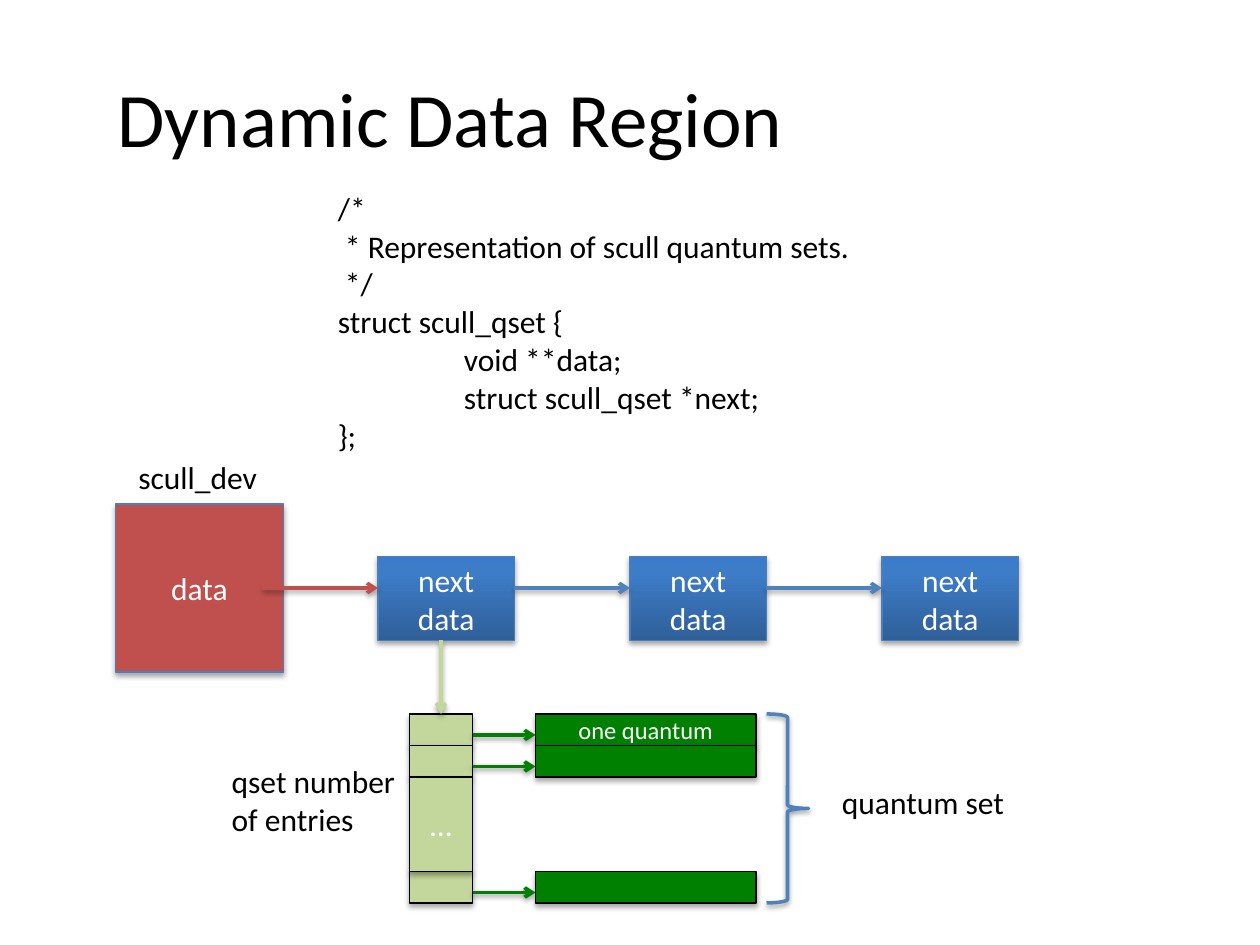
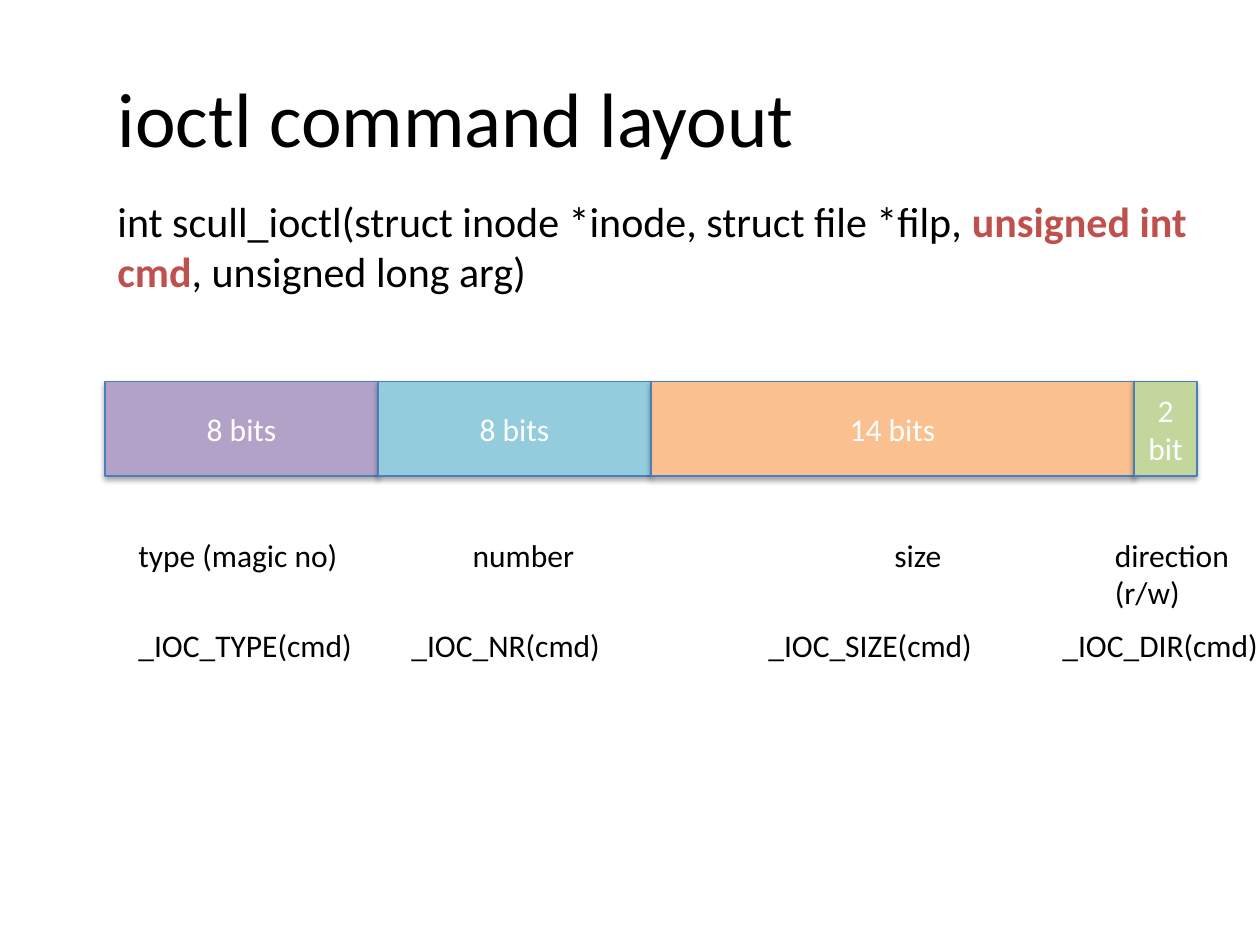
"""Build two slides on driver data structures and ioctl commands."""
from copy import deepcopy
from itertools import accumulate

from lxml.etree import SubElement
from pptx import Presentation
from pptx.dml.color import RGBColor
from pptx.enum.shapes import MSO_CONNECTOR as Link, MSO_SHAPE as Preset
from pptx.enum.text import MSO_ANCHOR as Anchor, MSO_AUTO_SIZE as AutoSize, PP_ALIGN as Align
from pptx.oxml.ns import qn
from pptx.util import Pt

FONT = "Calibri"
BLACK, WHITE = "000000", "FFFFFF"
RED, BLUE, EDGE = "C0504D", "4F81BD", "4B7EBC"
LIME, GREEN = "C3D69B", "008000"
VIOLET, AQUA, PEACH = "B3A2C7", "93CDDD", "FAC090"
NODE_GRADIENT = [(0, "2F5F99"), (0.8, "3D7CC7"), (1, "3A7CCB")]


def rgb(value):
    return RGBColor.from_string(value)


def add_run(paragraph, text, size, color, bold=False):
    run = paragraph.add_run()
    run.text = text
    run.font.name, run.font.size, run.font.bold = FONT, Pt(size), bold
    run.font.color.rgb = rgb(color)


def write(frame, lines, size, color, align=Align.LEFT):
    for number, line in enumerate(lines):
        paragraph = frame.add_paragraph() if number else frame.paragraphs[0]
        paragraph.alignment = align
        add_run(paragraph, line, size, color)


def add_shadow(shape, opacity, distance):
    effects = SubElement(shape._element.spPr, qn("a:effectLst"))
    outer = SubElement(effects, qn("a:outerShdw"), blurRad=str(Pt(3.1)),
                       dist=str(Pt(distance)), dir="5400000", rotWithShape="0")
    tint = SubElement(outer, qn("a:srgbClr"), val=BLACK)
    SubElement(tint, qn("a:alpha"), val=str(opacity * 1000))


def add_titled_slide(deck, heading):
    slide = deck.slides.add_slide(deck.slide_layouts[5])
    title = slide.shapes.title
    title.left, title.top, title.width, title.height = Pt(60), Pt(21.6), Pt(636), Pt(90)
    title.text_frame.vertical_anchor = Anchor.MIDDLE
    write(title.text_frame, [heading], 44, BLACK)
    return slide


def add_label(slide, left, top, width, lines, wrap=False):
    label = slide.shapes.add_textbox(Pt(left), Pt(top), Pt(width), Pt(7 + 22 * len(lines)))
    frame = label.text_frame
    frame.word_wrap = wrap
    frame.auto_size = AutoSize.SHAPE_TO_FIT_TEXT
    write(frame, lines, 18, BLACK)
    return frame


def add_block(slide, left, top, width, height, fill, edge=EDGE, lines=(), size=18):
    block = slide.shapes.add_shape(Preset.RECTANGLE, Pt(left), Pt(top), Pt(width), Pt(height))
    if isinstance(fill, str):
        block.fill.solid()
        block.fill.fore_color.rgb = rgb(fill)
    else:
        fill_gradient(block, fill)
    block.line.color.rgb = rgb(edge)
    block.line.width = Pt(0.75)
    add_shadow(block, 35, 1.8)
    block.text_frame.vertical_anchor = Anchor.MIDDLE
    write(block.text_frame, lines, size, WHITE, Align.CENTER)
    return block


def fill_gradient(block, stops):
    block.fill.gradient()
    block.fill.gradient_angle = 90
    stop_list = block._element.spPr.find(".//" + qn("a:gsLst"))
    stop_list.append(deepcopy(stop_list[-1]))
    for stop, (position, color) in zip(block.fill.gradient_stops, stops):
        stop.position = position
        stop.color.rgb = rgb(color)


def add_arrow(slide, x1, y1, x2, y2, color):
    arrow = slide.shapes.add_connector(Link.STRAIGHT, Pt(x1), Pt(y1), Pt(x2), Pt(y2))
    arrow.line.color.rgb = rgb(color)
    arrow.line.width = Pt(2)
    SubElement(arrow.line._get_or_add_ln(), qn("a:tailEnd"), type="arrow")
    add_shadow(arrow, 38, 1.6)
    return arrow


def add_brace(slide, left, top, width, height):
    brace = slide.shapes.add_shape(Preset.RIGHT_BRACE, Pt(left), Pt(top), Pt(width), Pt(height))
    brace.fill.background()
    brace.line.color.rgb = rgb(BLUE)
    brace.line.width = Pt(2)
    add_shadow(brace, 38, 1.6)


def add_list_nodes(slide):
    node_width, pitch, link_y = 78, 144, 336
    nodes = [216 + pitch * index for index in range(3)]
    for left in nodes:
        add_block(slide, left, 318, node_width, 48, NODE_GRADIENT, lines=["next", "data"])
    add_block(slide, 66, 288, 96, 96, RED, lines=["data"])
    add_label(slide, 72, 258, 83.5, ["scull_dev"])
    add_arrow(slide, 150, link_y, nodes[0], link_y, RED)
    for left, following in zip(nodes, nodes[1:]):
        add_arrow(slide, left + node_width, link_y, following, link_y, BLUE)


def add_quantum_set(slide):
    entry_left, entry_width, quantum_left, top, row = 234, 36, 306, 408, 18
    first_entry = None
    for offset, quantum_text in [(0, ["one quantum"]), (row, []), (5 * row, [])]:
        y = top + offset
        entry = add_block(slide, entry_left, y, entry_width, row, LIME, BLACK)
        first_entry = first_entry or entry
        add_block(slide, quantum_left, y, 126, row, GREEN, BLACK, quantum_text, 14)
        add_arrow(slide, entry_left + entry_width, y + 12, quantum_left, y + 12, GREEN)
    add_block(slide, entry_left, top + 2 * row, entry_width, 3 * row, LIME, BLACK, ["…"])
    add_brace(slide, 438, top, 24, 6 * row)
    add_label(slide, 474, 444, 108.7, ["quantum set"])
    pointer = add_arrow(slide, 252, 366, 252, top, LIME)
    pointer.end_connect(first_entry, 0)
    add_label(slide, 125.3, 432, 108.7, ["qset number", "of entries"])


def build_data_region(deck):
    slide = add_titled_slide(deck, "Dynamic Data Region")
    members = ["void **data;", "struct scull_qset *next;"]
    code = ["/*", " * Representation of scull quantum sets.", " */",
            "struct scull_qset {", *members, "};"]
    listing = add_label(slide, 186, 104.4, 360, code, wrap=True)
    for paragraph in listing.paragraphs:
        if paragraph.text in members:
            paragraph._p.get_or_add_pPr().set("marL", str(Pt(72)))
    add_list_nodes(slide)
    add_quantum_set(slide)


def build_command_layout(deck):
    slide = add_titled_slide(deck, "ioctl command layout")
    signature = add_label(slide, 60, 108, 660, [""], wrap=True).paragraphs[0]
    signature.clear()
    for text, color, bold in [
        ("int scull_ioctl(struct inode *inode, struct file *filp, ", BLACK, False),
        ("unsigned int cmd", RED, True),
        (", unsigned long arg)", BLACK, False),
    ]:
        add_run(signature, text, 24, color, bold)

    fields = [("8 bits", 156, VIOLET), ("8 bits", 156, AQUA),
              ("14 bits", 276, PEACH), ("2 bit", 36, LIME)]
    lefts = accumulate([width for _, width, _ in fields], initial=60)
    for left, (bits, width, color) in zip(lefts, fields):
        add_block(slide, left, 218, width, 54, color, lines=[bits])

    for left, width, meaning in [
        (72, 129.6, ["type (magic no)"]), (263, 73.4, ["number"]),
        (504, 41.8, ["size"]), (630, 80.6, ["direction", "(r/w)"]),
    ]:
        add_label(slide, left, 302.5, width, meaning)
    for left, width, macro in [
        (72, 137.5, "_IOC_TYPE(cmd)"), (228, 123, "_IOC_NR(cmd)"),
        (432, 131.8, "_IOC_SIZE(cmd)"), (600, 127.4, "_IOC_DIR(cmd)"),
    ]:
        add_label(slide, left, 354, width, [macro])


def main():
    deck = Presentation()
    deck.slide_width, deck.slide_height = Pt(720), Pt(540)
    build_data_region(deck)
    build_command_layout(deck)
    deck.save("out.pptx")


if __name__ == "__main__":
    main()
